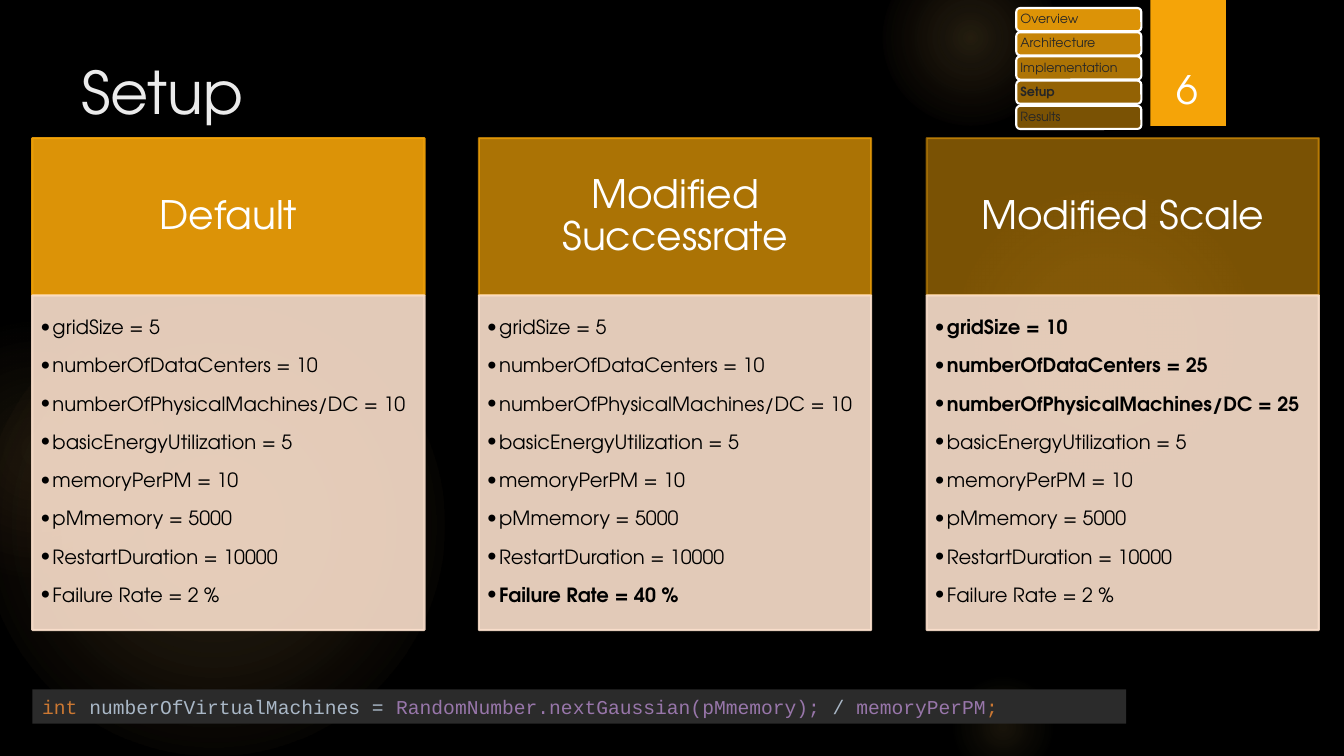
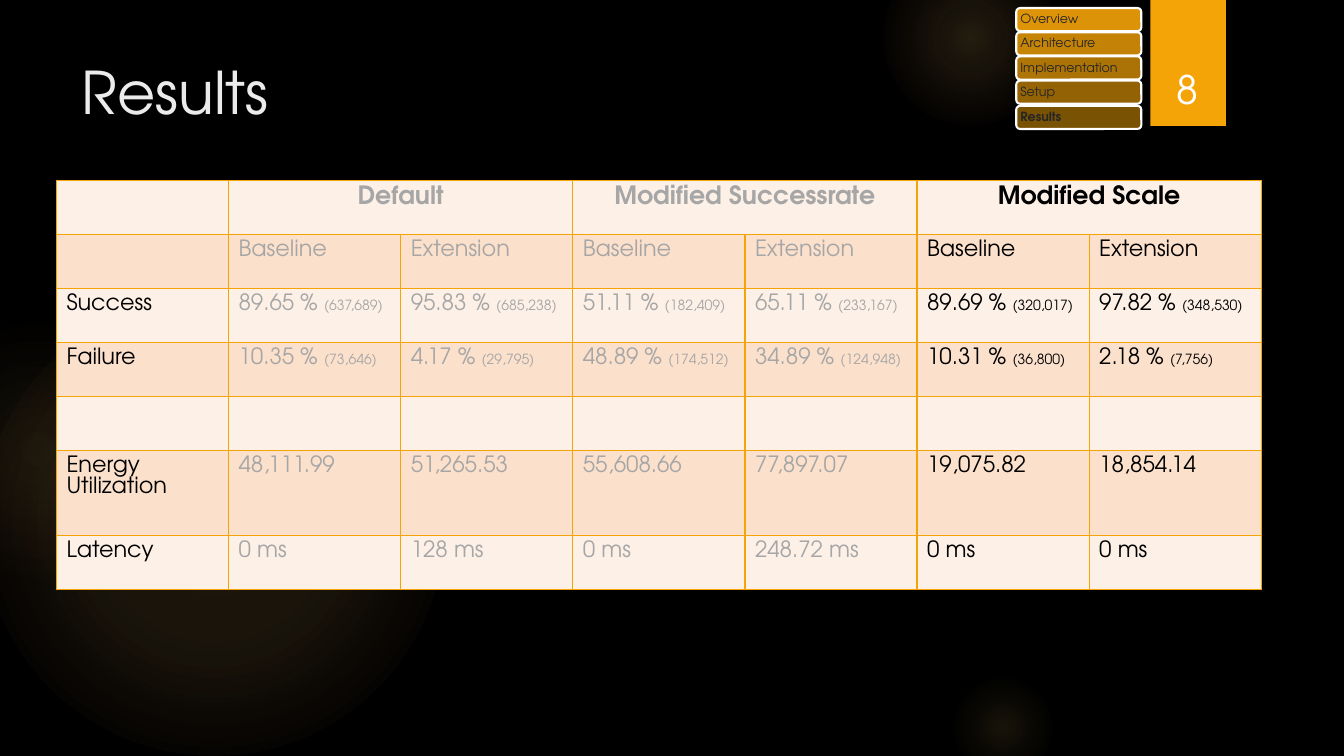
"""Build the Setup and Results slides of a simulation talk."""
from lxml.etree import SubElement
from pptx import Presentation
from pptx.dml.color import RGBColor
from pptx.enum.shapes import MSO_SHAPE
from pptx.enum.text import MSO_ANCHOR, MSO_AUTO_SIZE, PP_ALIGN
from pptx.oxml.ns import qn
from pptx.util import Pt

PX = 9144
RECT, ROUND, OVAL = MSO_SHAPE.RECTANGLE, MSO_SHAPE.ROUNDED_RECTANGLE, MSO_SHAPE.OVAL
TOP, MIDDLE, BOTTOM = MSO_ANCHOR.TOP, MSO_ANCHOR.MIDDLE, MSO_ANCHOR.BOTTOM
LEFT, CENTER = PP_ALIGN.LEFT, PP_ALIGN.CENTER
NO_FIT = MSO_AUTO_SIZE.NONE

BLACK = RGBColor(0x00, 0x00, 0x00)
WHITE = RGBColor(0xFF, 0xFF, 0xFF)
TITLE_GREY = RGBColor(0xEB, 0xEB, 0xEB)
INK = RGBColor(0x26, 0x26, 0x26)
MUTED = RGBColor(0xA6, 0xA6, 0xA6)
ORANGE = RGBColor(0xF5, 0xA4, 0x08)
PEACH = RGBColor(0xFB, 0xE0, 0xCC)
CREAM = RGBColor(0xFD, 0xF0, 0xE7)
GLOW = RGBColor(0xFA, 0xC9, 0x6A)
GLOW_EDGE = RGBColor(0xF5, 0x9B, 0x74)
CODE_BACK = RGBColor(0x2B, 0x2B, 0x2B)
CODE_KEYWORD = RGBColor(0xCC, 0x78, 0x32)
CODE_PLAIN = RGBColor(0xA9, 0xB7, 0xC6)
CODE_NAME = RGBColor(0x98, 0x76, 0xAA)

FONT = "TeX Gyre Adventor"
CODE_FONT = "Courier New"

HALOS = [
    ((-17, 292, 458, 458), [(0, GLOW, 11), (36, GLOW, 10), (75, GLOW, 0)]),
    ((-92, 317, 258, 258), [(0, GLOW, 8), (36, GLOW, 5), (71, GLOW_EDGE, 0)]),
    ((941, 183, 308, 308), [(0, GLOW, 7), (36, GLOW, 6), (69, GLOW, 0)]),
    ((875, -50, 175, 175), [(0, GLOW, 14), (36, GLOW, 7), (73, GLOW, 0)]),
    ((941, 667, 108, 108), [(0, GLOW, 10), (31, GLOW, 5), (66, GLOW, 0)]),
]
SECTIONS = ["Overview", "Architecture", "Implementation", "Setup", "Results"]

SETTINGS = {
    "gridSize": "5",
    "numberOfDataCenters": "10",
    "numberOfPhysicalMachines/DC": "10",
    "basicEnergyUtilization": "5",
    "memoryPerPM": "10",
    "pMmemory": "5000",
    "RestartDuration": "10000",
    "Failure Rate": "2 %",
}
SCENARIOS = [
    ("Default", {}),
    ("Modified Successrate", {"Failure Rate": "40 %"}),
    ("Modified Scale", {
        "gridSize": "10",
        "numberOfDataCenters": "25",
        "numberOfPhysicalMachines/DC": "25",
    }),
]
CODE = [
    ("int ", CODE_KEYWORD),
    ("numberOfVirtualMachines = ", CODE_PLAIN),
    ("RandomNumber.nextGaussian(pMmemory); ", CODE_NAME),
    ("/ ", CODE_PLAIN),
    ("memoryPerPM", CODE_NAME),
    (";", CODE_KEYWORD),
]
RESULTS = [
    [""] + ["Baseline", "Extension"] * 3,
    ["Success", "89.65 % (637,689)", "95.83 % (685,238)", "51.11 % (182,409)",
     "65.11 % (233,167)", "89.69 % (320,017)", "97.82 % (348,530)"],
    ["Failure", "10.35 % (73,646)", "4.17 % (29,795)", "48.89 % (174,512)",
     "34.89 % (124,948)", "10.31 % (36,800)", "2.18 % (7,756)"],
    [""] * 7,
    ["Energy Utilization", "48,111.99", "51,265.53", "55,608.66",
     "77,897.07", "19,075.82", "18,854.14"],
    ["Latency", "0 ms", "128 ms", "0 ms", "248.72 ms", "0 ms", "0 ms"],
]
TABLE_AT = (56, 179, 1195, 406)
TALL_ROW, TALL_HEIGHT = 5, 84
MUTED_COLUMNS = range(1, 5)


def place(at):
    return [length * PX for length in at]


def set_all(target, formats):
    for name, value in formats.items():
        setattr(target, name, value)


def add_span(para, text, size, color, bold=False, font=FONT):
    span = para.add_run()
    span.text = text
    set_all(span.font, {"name": font, "size": Pt(size), "bold": bold})
    span.font.color.rgb = color


def set_frame(frame, anchor, insets=(10, 5, 10, 5)):
    sides = ("margin_left", "margin_top", "margin_right", "margin_bottom")
    set_all(frame, dict(zip(sides, place(insets))))
    set_all(frame, {"vertical_anchor": anchor, "word_wrap": True, "auto_size": NO_FIT})
    return frame.paragraphs[0]


def add_panel(page, kind, at, fill, line=None, opacity=(100, 100)):
    panel = page.shapes.add_shape(kind, *place(at))
    panel.shadow.inherit = False
    panel.fill.solid()
    panel.fill.fore_color.rgb = fill
    if line is None:
        panel.line.fill.background()
    else:
        panel.line.color.rgb = line
        panel.line.width = Pt(1.5)
    colors = list(panel.element.spPr.iter(qn("a:srgbClr")))
    for color, percent in zip(colors, opacity):
        SubElement(color, qn("a:alpha"), val=str(percent * 1000))
    return panel


def add_halo(page, at, stops):
    halo = page.shapes.add_shape(OVAL, *place(at))
    halo.shadow.inherit = False
    halo.line.fill.background()
    halo.fill.gradient()
    gradient = halo.element.spPr.find(qn("a:gradFill"))
    for child in list(gradient):
        gradient.remove(child)
    stop_list = SubElement(gradient, qn("a:gsLst"))
    for position, color, percent in stops:
        stop = SubElement(stop_list, qn("a:gs"), pos=str(position * 1000))
        tint = SubElement(stop, qn("a:srgbClr"), val=str(color))
        SubElement(tint, qn("a:alpha"), val=str(percent * 1000))
    circle = SubElement(gradient, qn("a:path"), path="circle")
    SubElement(circle, qn("a:fillToRect"), l="50000", t="50000", r="50000", b="50000")


def add_page(deck, title, number):
    page = deck.slides.add_slide(deck.slide_layouts[5])
    for at, stops in HALOS:
        add_halo(page, at, stops)
    add_panel(page, RECT, (1141, 0, 75, 125), ORANGE)

    heading = page.shapes.title
    set_all(heading, dict(zip(("left", "top", "width", "height"), place((71, 50, 1029, 153)))))
    para = set_frame(heading.text_frame, TOP)
    para.alignment = LEFT
    add_span(para, title, 42, TITLE_GREY)

    number_box = page.shapes.add_textbox(*place((1132, 32, 92, 84)))
    para = set_frame(number_box.text_frame, BOTTOM)
    para.alignment = CENTER
    add_span(para, number, 28, WHITE)

    for index, section in enumerate(SECTIONS):
        at = (1008, 8 + index * 97 // 4, 124, 23)
        tab = add_panel(page, ROUND, at, ORANGE, WHITE, (90 - 10 * index, 100))
        para = set_frame(tab.text_frame, MIDDLE, (3, 4, 3, 4))
        set_all(para, {"alignment": LEFT, "line_spacing": 0.9})
        add_span(para, section, 9, INK, section == title)
    return page


def add_bullet(para):
    set_all(para, {"alignment": LEFT, "line_spacing": 1.5, "space_after": Pt(2.1)})
    properties = para._p.get_or_add_pPr()
    properties.set("marL", str(12 * PX))
    properties.set("indent", str(-12 * PX))
    SubElement(properties, qn("a:buFont"), typeface=FONT)
    SubElement(properties, qn("a:buChar"), char="•")


def add_scenario(page, index, name, changes):
    left, width = 32 + index * 887 // 2, 389
    strength = 90 - 20 * index
    header = add_panel(page, RECT, (left, 137, width, 156), ORANGE, ORANGE, (strength, strength))
    para = set_frame(header.text_frame, MIDDLE, (22, 12, 22, 12))
    set_all(para, {"alignment": CENTER, "line_spacing": 0.9})
    add_span(para, name, 28, WHITE)

    body = add_panel(page, RECT, (left, 293, width, 332), PEACH, PEACH, (90, 90))
    para = set_frame(body.text_frame, TOP, (8, 8, 11, 12))
    for position, (key, value) in enumerate(SETTINGS.items()):
        if position:
            para = body.text_frame.add_paragraph()
        add_bullet(para)
        add_span(para, f"{key} = {changes.get(key, value)}", 14, BLACK, key in changes)


def add_setup(deck):
    page = add_page(deck, "Setup", "6")
    for index, (name, changes) in enumerate(SCENARIOS):
        add_scenario(page, index, name, changes)
    bar = add_panel(page, RECT, (32, 684, 1085, 34), CODE_BACK)
    para = set_frame(bar.text_frame, MIDDLE)
    para.alignment = LEFT
    for text, color in CODE:
        add_span(para, text, 14, color, font=CODE_FONT)


def style_cell(cell, fill):
    properties = cell._tc.get_or_add_tcPr()
    for side in ("a:lnL", "a:lnR", "a:lnT", "a:lnB"):
        line = SubElement(properties, qn(side), w=str(Pt(1)))
        paint = SubElement(line, qn("a:solidFill"))
        SubElement(paint, qn("a:srgbClr"), val=str(ORANGE))
    cell.fill.solid()
    cell.fill.fore_color.rgb = fill


def add_results(deck):
    page = add_page(deck, "Results", "8")
    header = [""]
    for name, _ in SCENARIOS:
        header += [name, ""]
    rows = [header] + RESULTS
    table = page.shapes.add_table(len(rows), len(header), *place(TABLE_AT)).table
    set_all(table, {"first_row": False, "horz_banding": False})
    for column in table.columns:
        column.width = TABLE_AT[2] * PX // len(header)
    for row_index, row in enumerate(rows):
        table.rows[row_index].height = (
            TALL_HEIGHT * PX if row_index == TALL_ROW
            else (TABLE_AT[3] - TALL_HEIGHT) * PX // (len(rows) - 1))
        for column_index, text in enumerate(row):
            cell = table.cell(row_index, column_index)
            style_cell(cell, PEACH if row_index % 2 else CREAM)
            if not text:
                continue
            color = MUTED if column_index in MUTED_COLUMNS else BLACK
            para = cell.text_frame.paragraphs[0]
            if row_index == 0:
                cell.merge(table.cell(0, column_index + 1))
                para.alignment = CENTER
                add_span(para, text, 18, color, True)
                continue
            value, bracket, count = text.partition("(")
            add_span(para, value, 16, color)
            if bracket:
                add_span(para, bracket + count, 10, color)


def main():
    deck = Presentation()
    deck.slide_width, deck.slide_height = place((1333, 750))
    background = deck.slide_master.background.fill
    background.solid()
    background.fore_color.rgb = BLACK
    add_setup(deck)
    add_results(deck)
    deck.save("out.pptx")


if __name__ == "__main__":
    main()
